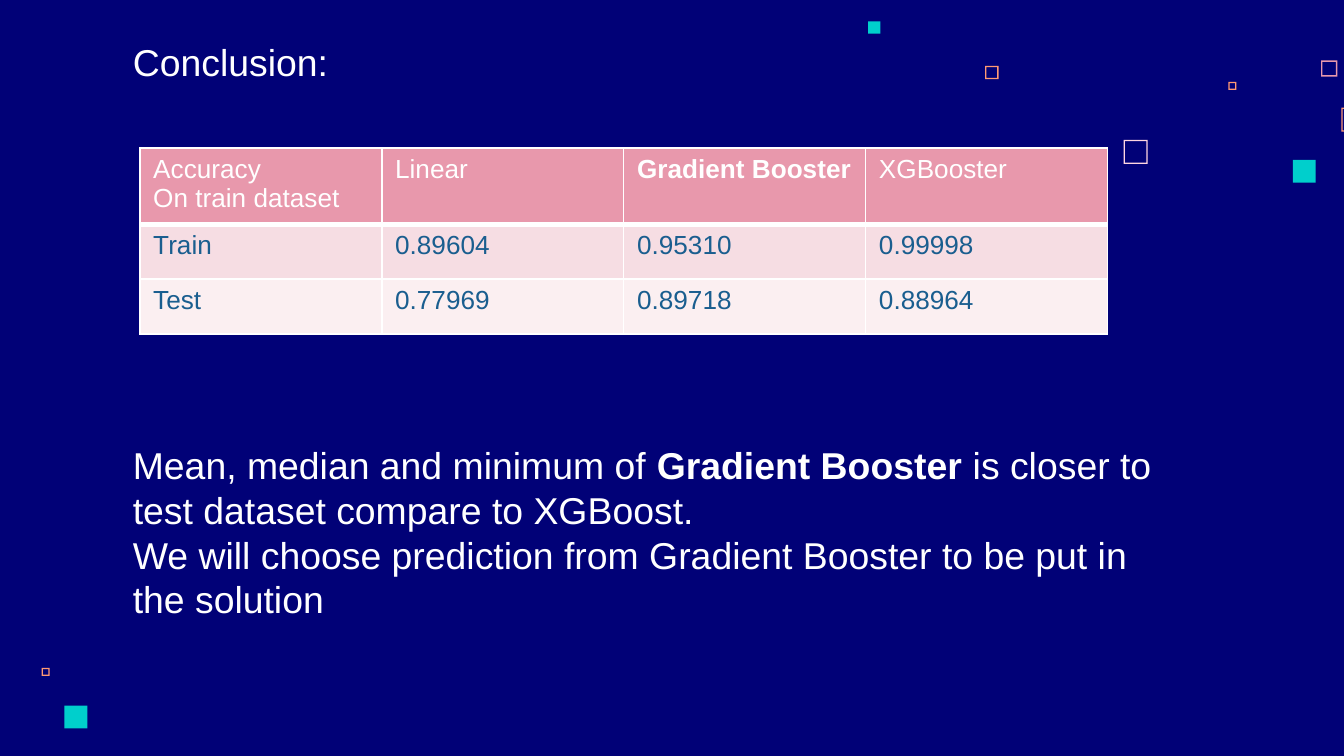
from lxml import etree
from pptx import Presentation
from pptx.dml.color import RGBColor
from pptx.enum.shapes import MSO_SHAPE
from pptx.enum.text import MSO_ANCHOR
from pptx.oxml.ns import qn
from pptx.util import Inches, Pt

FRAME = MSO_SHAPE.FRAME
SQUARE = MSO_SHAPE.RECTANGLE
TOP = MSO_ANCHOR.TOP
W, H = Inches(10), Inches(5.625)
FONT = "Arial"
WHITE, TEAL, ORANGE, ROSE = "FFFFFF", "00CFCC", "FF9973", "E898AC"
BLUE, NAVY, BLUSH = "1A5E8F", "010177", "FFD6E1"
ROW_FILLS = [ROSE, "F6DDE3", "FBEFF1"]
ROW_SHARES = [0.4, 0.3, 0.3]

SQUARES = [
    (83.6, 18.49, 1.8, BLUSH, FRAME),
    (98.3, 8, 1.2, ROSE, FRAME),
    (91.4, 10.84, 0.6, ORANGE, FRAME),
    (99.8, 14.22, 1.8, ORANGE, FRAME),
    (96.2, 21.16, 1.7, TEAL, SQUARE),
    (73.3, 8.71, 1, ORANGE, FRAME),
    (64.6, 2.84, 0.9, TEAL, SQUARE),
    (3.1, 88.36, 0.6, ORANGE, FRAME),
    (4.8, 93.33, 1.7, TEAL, SQUARE),
]
ROWS = [
    ["Accuracy\nOn train dataset", "Linear", "Gradient Booster", "XGBooster"],
    ["Train", "0.89604", "0.95310", "0.99998"],
    ["Test", "0.77969", "0.89718", "0.88964"],
]
PARAGRAPHS = [
    [("Conclusion:", False)],
    [
        ("Mean, median and minimum of ", False),
        ("Gradient Booster ", True),
        ("is closer to test dataset compare to XGBoost.", False),
    ],
    [("We will choose prediction from Gradient Booster to be put in the solution", False)],
]


def rgb(value):
    return RGBColor.from_string(value)


def share(x, y, w, h):
    return int(W * x / 100), int(H * y / 100), int(W * w / 100), int(H * h / 100)


def add_run(p, text, size, color, bold=False):
    r = p.add_run()
    r.text = text
    r.font.name = FONT
    r.font.size = Pt(size)
    r.font.bold = bold
    r.font.color.rgb = rgb(color)


def add_squares(slide, squares):
    for x, y, side, color, kind in squares:
        sp = slide.shapes.add_shape(kind, *share(x, y, side, side * W / H))
        if kind == FRAME:
            sp.adjustments[0] = 0.1 / side
        sp.shadow.inherit = False
        sp.fill.solid()
        sp.fill.fore_color.rgb = rgb(color)
        sp.line.fill.background()


def add_statement(slide, box):
    tf = slide.shapes.add_textbox(*box).text_frame
    tf.word_wrap = True
    tf.vertical_anchor = TOP
    tf.margin_left = tf.margin_right = tf.margin_bottom = Inches(0.1)
    tf.margin_top = Inches(0.13)
    for i, runs in enumerate(PARAGRAPHS):
        p = tf.add_paragraph() if i else tf.paragraphs[0]
        p.line_spacing = Pt(24)
        p.space_before = Pt(8 * 24 if i == 1 else 0)
        for text, bold in runs:
            add_run(p, text, 20, WHITE, bold)


def set_borders(cell, widths):
    tc_pr = cell._tc.get_or_add_tcPr()
    for i, (side, width) in enumerate(widths.items()):
        ln = etree.Element(qn(f"a:ln{side}"), w=str(Pt(width)))
        fill = etree.SubElement(ln, qn("a:solidFill"))
        etree.SubElement(fill, qn("a:srgbClr"), val=WHITE)
        tc_pr.insert(i, ln)


def add_accuracy_table(slide, box):
    n_rows, n_cols = len(ROWS), len(ROWS[0])
    table = slide.shapes.add_table(n_rows, n_cols, *box).table
    for col in table.columns:
        col.width = box[2] // n_cols
    for i, texts in enumerate(ROWS):
        table.rows[i].height = int(box[3] * ROW_SHARES[i])
        for j, text in enumerate(texts):
            cell = table.cell(i, j)
            cell.fill.solid()
            cell.fill.fore_color.rgb = rgb(ROW_FILLS[i])
            set_borders(cell, {"L": 1, "R": 1, "T": 3 if i == 1 else 1, "B": 1 if i else 3})
            tf = cell.text_frame
            for k, line in enumerate(text.split("\n")):
                p = tf.add_paragraph() if k else tf.paragraphs[0]
                add_run(p, line, 14, BLUE if i else WHITE, i == 0 and j == 2)


def main():
    prs = Presentation()
    prs.slide_width, prs.slide_height = W, H
    slide = prs.slides.add_slide(prs.slide_layouts[6])
    slide.background.fill.solid()
    slide.background.fill.fore_color.rgb = rgb(NAVY)
    add_squares(slide, SQUARES)
    add_statement(slide, share(8.9, 2.84, 78.6, 92.8))
    add_accuracy_table(slide, share(10.4, 19.56, 72, 24.18))
    prs.save("out.pptx")


if __name__ == "__main__":
    main()
